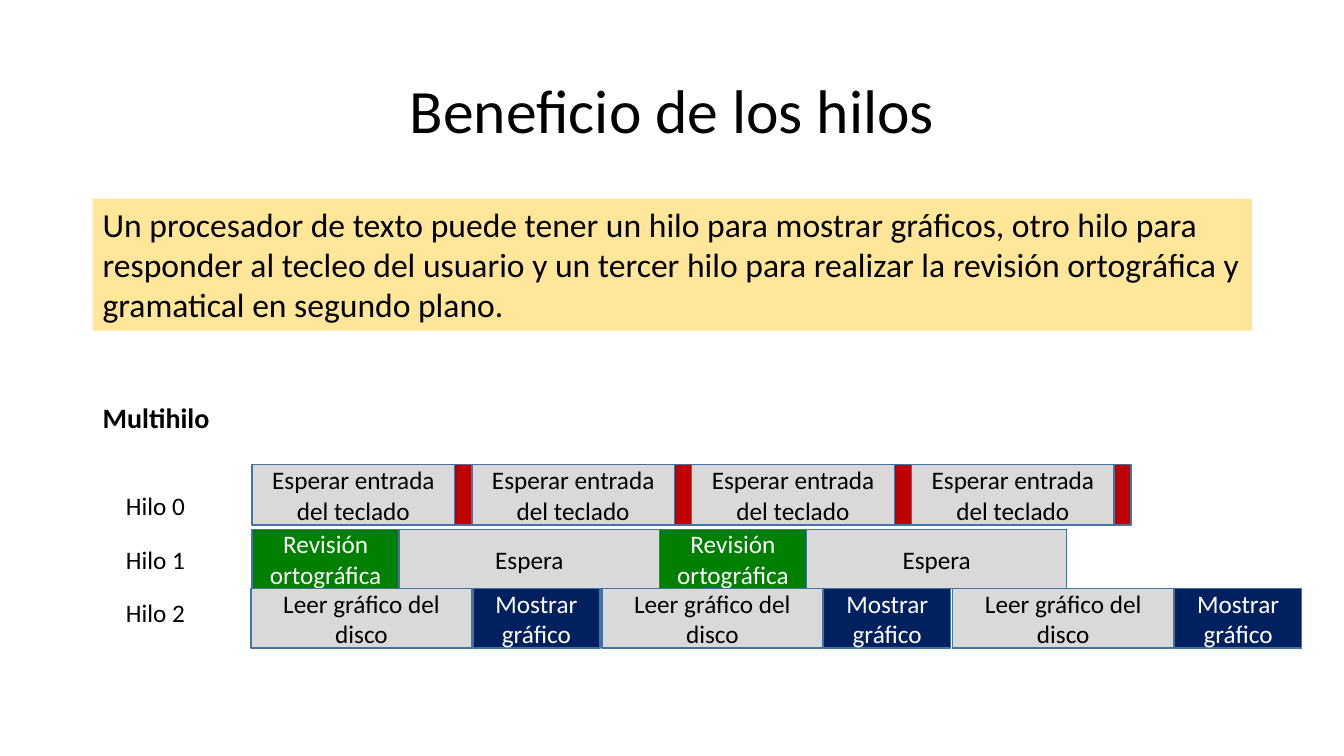
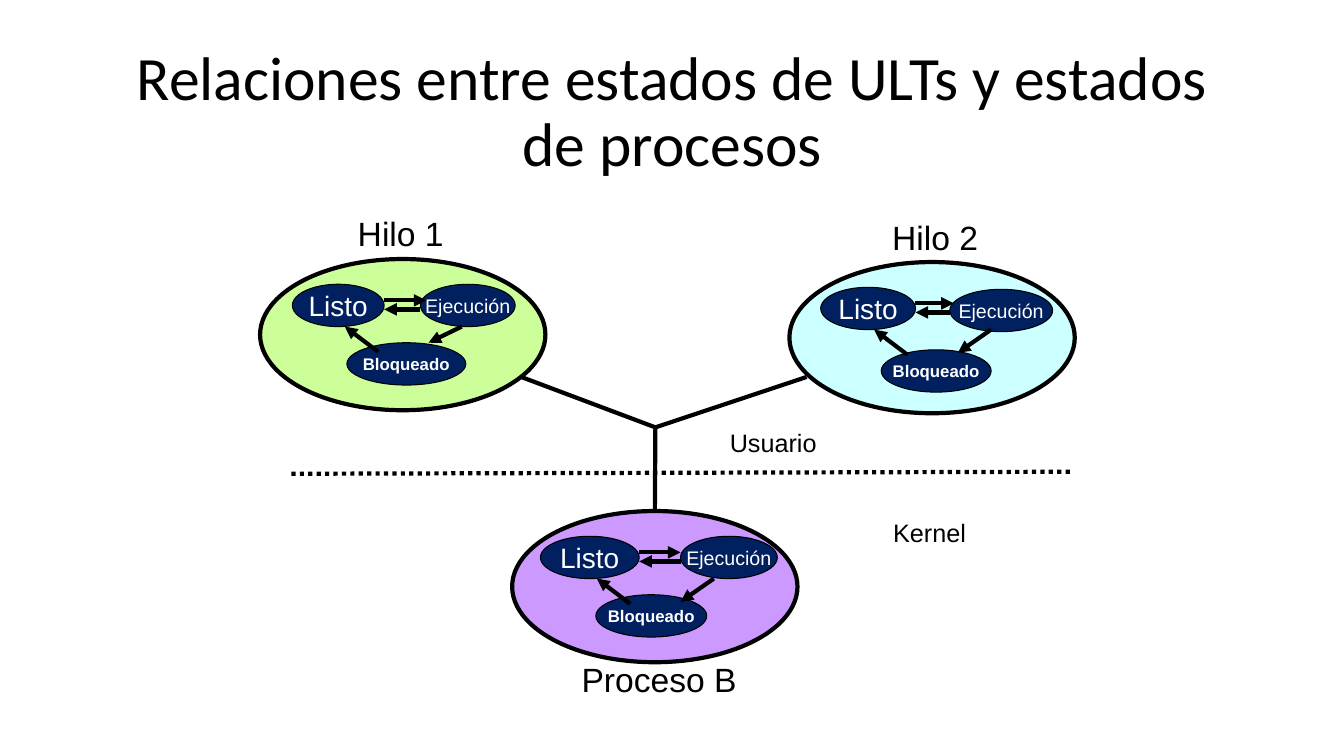
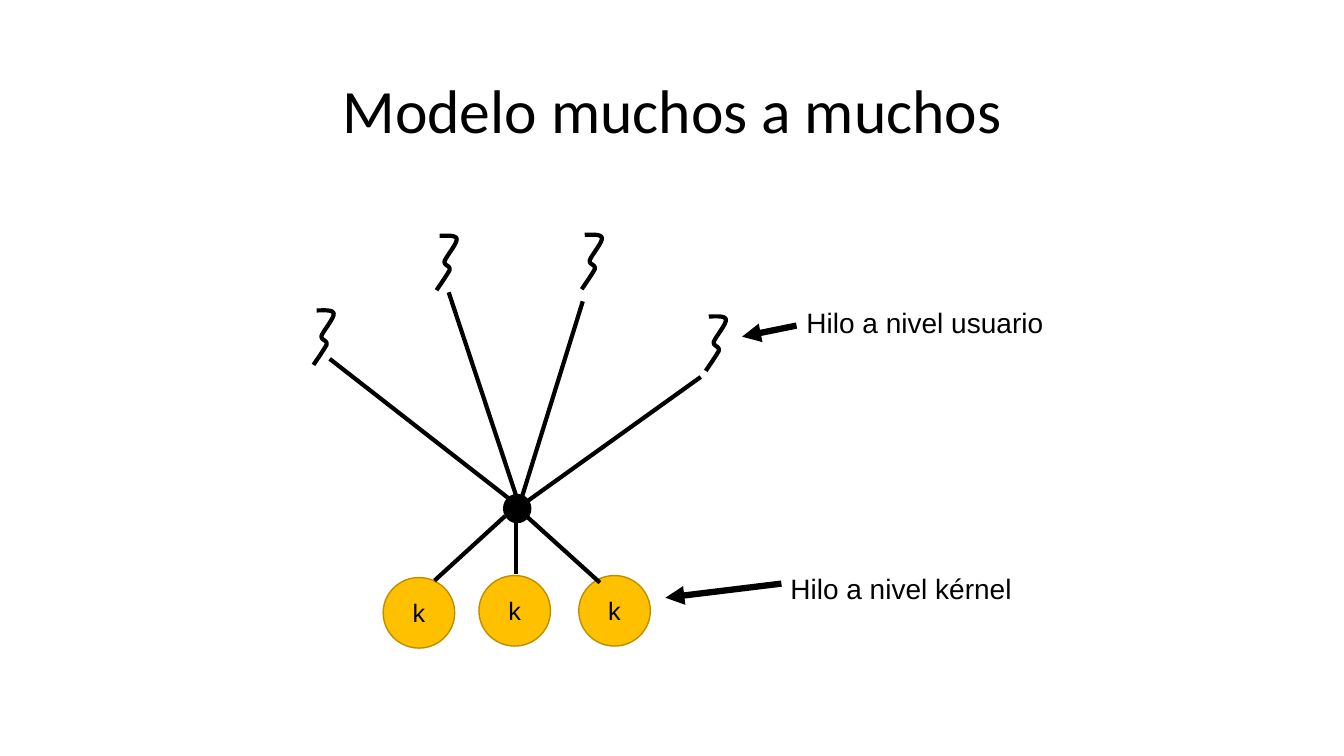
from dataclasses import dataclass

import pptx
import pptx.dml.color
import pptx.enum.dml
import pptx.enum.shapes
import pptx.enum.text
import pptx.oxml
import pptx.oxml.ns
import pptx.util

Inches = pptx.util.Inches
Shape = pptx.enum.shapes.MSO_SHAPE
Align = pptx.enum.text.PP_ALIGN
Anchor = pptx.enum.text.MSO_ANCHOR
Fit = pptx.enum.text.MSO_AUTO_SIZE


@dataclass(frozen=True)
class Theme:
    ink: str = "000000"
    white: str = "FFFFFF"
    gray: str = "D9D9D9"
    red: str = "C00000"
    green: str = "008000"
    navy: str = "002060"
    edge: str = "43739E"
    sand: str = "FFE699"
    lime: str = "CCFF99"
    aqua: str = "CCFFFF"
    lilac: str = "CC99FF"
    gold: str = "FFC000"
    rim: str = "BD8E00"
    head: str = "Calibri"
    body: str = "Arial"
    title: int = 44
    large: int = 24
    medium: int = 20
    base: int = 18
    small: int = 14
    tiny: int = 12
    thick: float = 3
    arrow: float = 4.5


T = Theme()


def color(code):
    return pptx.dml.color.RGBColor.from_string(code)


def bezier(a, b, c, d, steps=8):
    """Points along a cubic curve, without its start."""
    for i in range(1, steps + 1):
        t = i / steps
        u = 1 - t
        yield tuple(u**3 * p + 3 * u * u * t * q + 3 * u * t * t * r + t**3 * s
                    for p, q, r, s in zip(a, b, c, d))


class Deck:
    """The theme's drawing tools and the current slide."""

    def __init__(self):
        self.prs = pptx.Presentation()
        self.prs.slide_width = Inches(13.33)
        self.prs.slide_height = Inches(7.5)

    def page(self, title):
        self.slide = self.prs.slides.add_slide(self.prs.slide_layouts[6])
        self.label(title, (0.92, 0.4, 11.5, 1.45), T.title, T.head, wrap=True,
                   fit=Fit.NONE, anchor=Anchor.MIDDLE, align=Align.CENTER,
                   space=0.9)

    def letter(self, shape, text, size, font, ink=T.ink, bold=False, wrap=True,
               fit=Fit.NONE, anchor=Anchor.MIDDLE, align=Align.CENTER, space=None):
        """Put styled text into a shape."""
        frame = shape.text_frame
        para = frame.paragraphs[0]
        run = para.add_run()
        run.text = text
        run.font.color.rgb = color(ink)
        formats = [
            (frame, {"word_wrap": wrap, "auto_size": fit, "vertical_anchor": anchor}),
            (para, {"alignment": align, "line_spacing": space}),
            (run.font, {"name": font, "size": pptx.util.Pt(size), "bold": bold}),
        ]
        for item, values in formats:
            for name, value in values.items():
                setattr(item, name, value)

    def label(self, text, box, size, font=T.body, **style):
        plain = {"wrap": False, "fit": Fit.SHAPE_TO_FIT_TEXT,
                 "anchor": Anchor.TOP, "align": Align.LEFT}
        shape = self.slide.shapes.add_textbox(*map(Inches, box))
        self.letter(shape, text, size, font, **{**plain, **style})

    def paint(self, shape, fill, edge, width):
        shape.shadow.inherit = False
        if fill:
            shape.fill.solid()
            shape.fill.fore_color.rgb = color(fill)
        else:
            shape.fill.background()
        if edge:
            shape.line.color.rgb = color(edge)
            shape.line.width = pptx.util.Pt(width)
        else:
            shape.line.fill.background()

    def block(self, box, fill, edge=T.edge, width=1, kind=Shape.RECTANGLE):
        shape = self.slide.shapes.add_shape(kind, *map(Inches, box))
        self.paint(shape, fill, edge, width)
        return shape

    def oval(self, box, fill, edge=T.ink, width=T.thick):
        return self.block(box, fill, edge, width, Shape.OVAL)

    def line(self, start, end, width=T.thick, head=False, dash=None):
        link = self.slide.shapes.add_connector(
            pptx.enum.shapes.MSO_CONNECTOR.STRAIGHT, *map(Inches, (*start, *end)))
        link.line.color.rgb = color(T.ink)
        link.line.width = pptx.util.Pt(width)
        if dash:
            link.line.dash_style = dash
        props = link._element.spPr
        ns = pptx.oxml.ns.nsdecls("a")
        if head:
            props.find(pptx.oxml.ns.qn("a:ln")).append(
                pptx.oxml.parse_xml(f'<a:tailEnd {ns} type="triangle"/>'))
        props.append(pptx.oxml.parse_xml(f"<a:effectLst {ns}/>"))
        return link

    def squiggle(self, left, top):
        """Wavy thread mark."""
        start = (0.03, 0.01)
        curves = [((0.11, 0.01), (0.19, 0), (0.2, 0.04)),
                  ((0.21, 0.08), (0.1, 0.21), (0.08, 0.26)),
                  ((0.07, 0.31), (0.14, 0.3), (0.13, 0.35)),
                  ((0.11, 0.39), (0.02, 0.52), (0, 0.55))]
        points = [start]
        for curve in curves:
            points += bezier(points[-1], *curve)
        spots = [(Inches(left + x), Inches(top + y)) for x, y in points]
        pen = self.slide.shapes.build_freeform(*spots[0])
        pen.add_line_segments(spots[1:], close=False)
        self.paint(pen.convert_to_shape(), None, T.ink, T.thick)

    def states(self, left, top, fill, ready, active, stuck, tip, drop):
        """Three-state cycle; oval boxes and arrow ends count from left, top."""
        ring = self.oval((left, top, 2.83, 1.5), fill)
        for text, (x, y, wide), size in (("Listo", ready, T.medium),
                                         ("Ejecución", active, T.small),
                                         ("Bloqueado", stuck, T.tiny)):
            oval = self.oval((left + x, top + y, wide, 0.42), T.navy, width=0.75)
            self.letter(oval, text, size, T.body, T.white,
                        bold=text == "Bloqueado", wrap=False)
        side = ready[0] + ready[2]
        for x1, y1, x2, y2 in ((side, 0.41, tip, 0.41), (active[0], 0.5, side, 0.5),
                               (2, 0.67, 1.67, drop), (1.17, 0.92, 0.84, 0.67)):
            self.line((left + x1, top + y1), (left + x2, top + y2), head=True)
        return ring


def benefit(deck):
    deck.page("Beneficio de los hilos")
    deck.label("Multihilo", (0.92, 3.92, 1.27, 0.44), T.medium, T.head, bold=True)
    for i in range(3):
        deck.label(f"Hilo {i}", (1.15, 4.82 + 0.53 * i, 0.79, 0.4), T.base, T.head)

    # left, top, height, step, count, then parts: offset, width, fill, ink, text
    rows = [
        (2.5, 4.61, 0.6, 2.18, 4,
         [(0, 2.01, T.gray, T.ink, "Esperar entrada del teclado"),
          (2.01, 0.17, T.red, T.ink, "")]),
        (2.5, 5.25, 0.59, 4.04, 2,
         [(0, 1.46, T.green, T.white, "Revisión ortográfica"),
          (1.46, 2.58, T.gray, T.ink, "Espera")]),
        (2.49, 5.84, 0.59, 3.48, 3,
         [(0, 2.19, T.gray, T.ink, "Leer gráfico del disco"),
          (2.2, 1.26, T.navy, T.white, "Mostrar gráfico")]),
    ]
    for left, top, high, step, count, parts in rows:
        for i in range(count):
            for shift, wide, fill, ink, text in parts:
                block = deck.block((left + step * i + shift, top, wide, high), fill)
                if text:
                    deck.letter(block, text, T.base, T.head, ink)

    panel = deck.block((0.92, 1.97, 11.5, 1.31), T.sand, edge=None)
    deck.letter(panel, "Un procesador de texto puede tener un hilo para mostrar "
                "gráficos, otro hilo para responder al tecleo del usuario y un "
                "tercer hilo para realizar la revisión ortográfica y gramatical "
                "en segundo plano.", T.large, T.head, anchor=Anchor.TOP,
                align=Align.LEFT, fit=Fit.SHAPE_TO_FIT_TEXT)


def relations(deck):
    deck.page("Relaciones entre estados de ULTs y estados de procesos")
    deck.states(2.58, 2.57, T.lime, (0.32, 0.25, 0.91), (1.59, 0.25, 0.94),
                (0.86, 0.83, 1.18), tip=1.65, drop=0.83)
    deck.states(7.83, 2.6, T.aqua, (0.31, 0.25, 0.94), (1.59, 0.27, 1.02),
                (0.91, 0.87, 1.09), tip=1.63, drop=0.9)
    process = deck.states(5.08, 5.07, T.lilac, (0.28, 0.25, 0.98),
                          (1.67, 0.25, 0.96), (0.83, 0.83, 1.1), tip=1.67, drop=0.9)
    fork = (6.5, 4.24)
    deck.line((6.5, 5.07), fork).begin_connect(process, 0)
    for end in ((5.17, 3.74), (8, 3.74)):
        deck.line(fork, end)
    deck.line((2.89, 4.7), (10.63, 4.68),
              dash=pptx.enum.dml.MSO_LINE.ROUND_DOT)
    for text, left, top, wide in (("Hilo 1", 3.45, 2.06, 1.06),
                                  ("Hilo 2", 8.75, 2.1, 1.06),
                                  ("Proceso B", 5.67, 6.49, 1.74)):
        deck.label(text, (left, top, wide, 0.5), T.large)
    deck.label("Kernel", (8.76, 5.08, 0.93, 0.41), T.base)
    deck.label("Usuario", (7.14, 4.19, 1.06, 0.41), T.base, wrap=True)


def many(deck):
    deck.page("Modelo muchos a muchos")
    for spot in ((4.33, 2.33), (5.77, 2.32), (3.11, 3.07), (7, 3.13)):
        deck.squiggle(*spot)
    for left, top in ((4.75, 5.71), (5.74, 5.71), (3.8, 5.73)):
        kernel = deck.oval((left, top, 0.71, 0.7), T.gold, T.rim, 1)
        deck.letter(kernel, "k", T.base, T.body, wrap=False)
    for start, end in (((3.27, 3.56), (5.04, 4.94)), ((5.22, 4.98), (6.95, 3.74)),
                       ((5.12, 4.92), (4.45, 2.9)), ((5.18, 4.92), (5.78, 2.99)),
                       ((5.12, 5.12), (5.12, 5.69)), ((4.31, 5.76), (5.01, 5.12)),
                       ((5.95, 5.78), (5.22, 5.12))):
        deck.line(start, end)
    deck.oval((5.01, 4.92, 0.24, 0.25), T.ink)
    for text, box, start, end in (
            ("Hilo a nivel usuario", (7.9, 2.98, 2.57, 0.44), (7.9, 3.23), (7.36, 3.34)),
            ("Hilo a nivel kérnel", (7.74, 5.62, 2.41, 0.44), (7.75, 5.79), (6.6, 5.93))):
        deck.label(text, box, T.medium)
        deck.line(start, end, T.arrow, head=True)


def main():
    deck = Deck()
    for draw in (benefit, relations, many):
        draw(deck)
    deck.prs.save("out.pptx")


if __name__ == "__main__":
    main()
